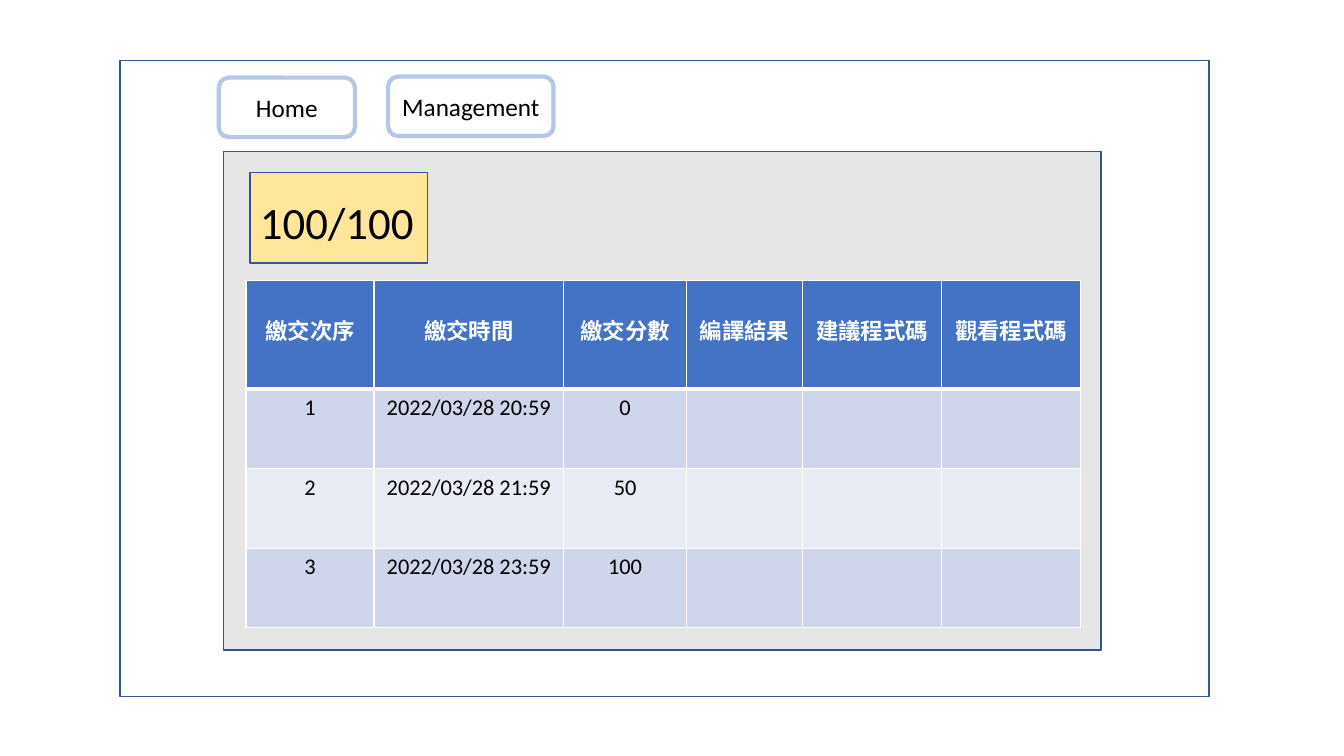
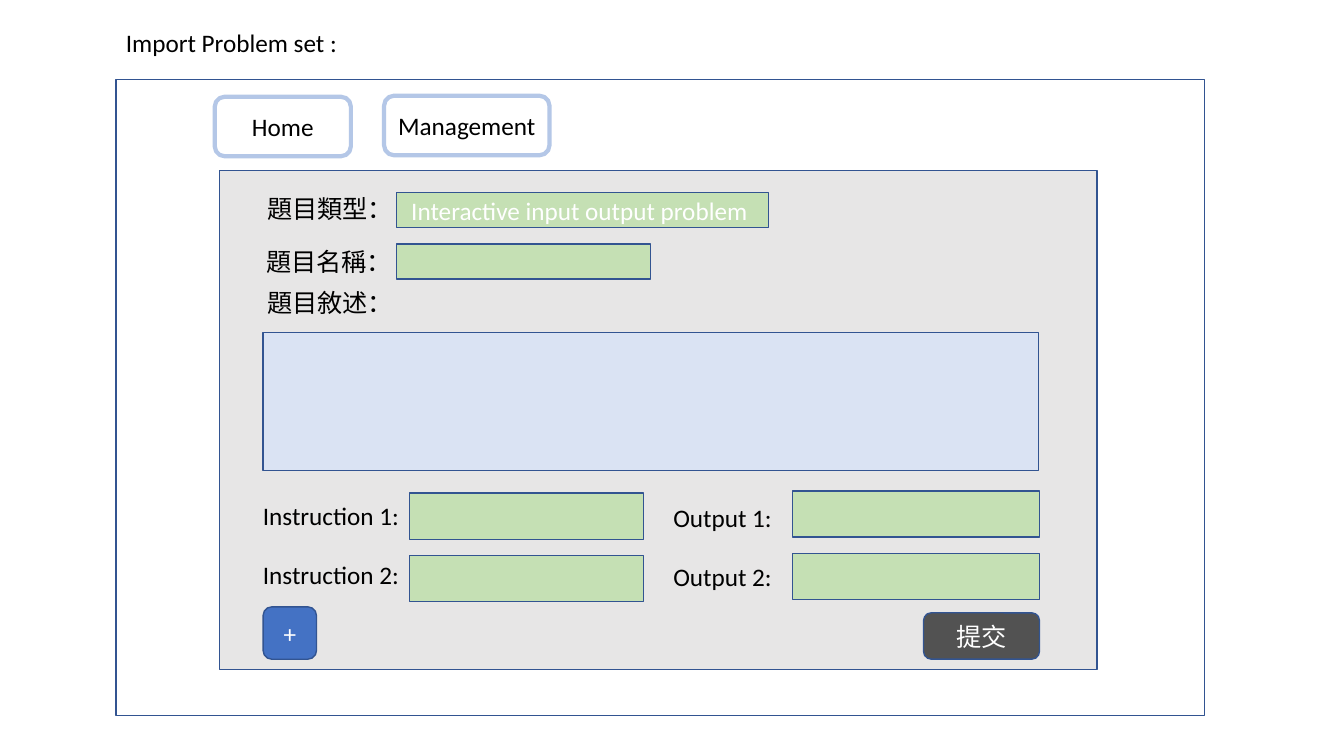
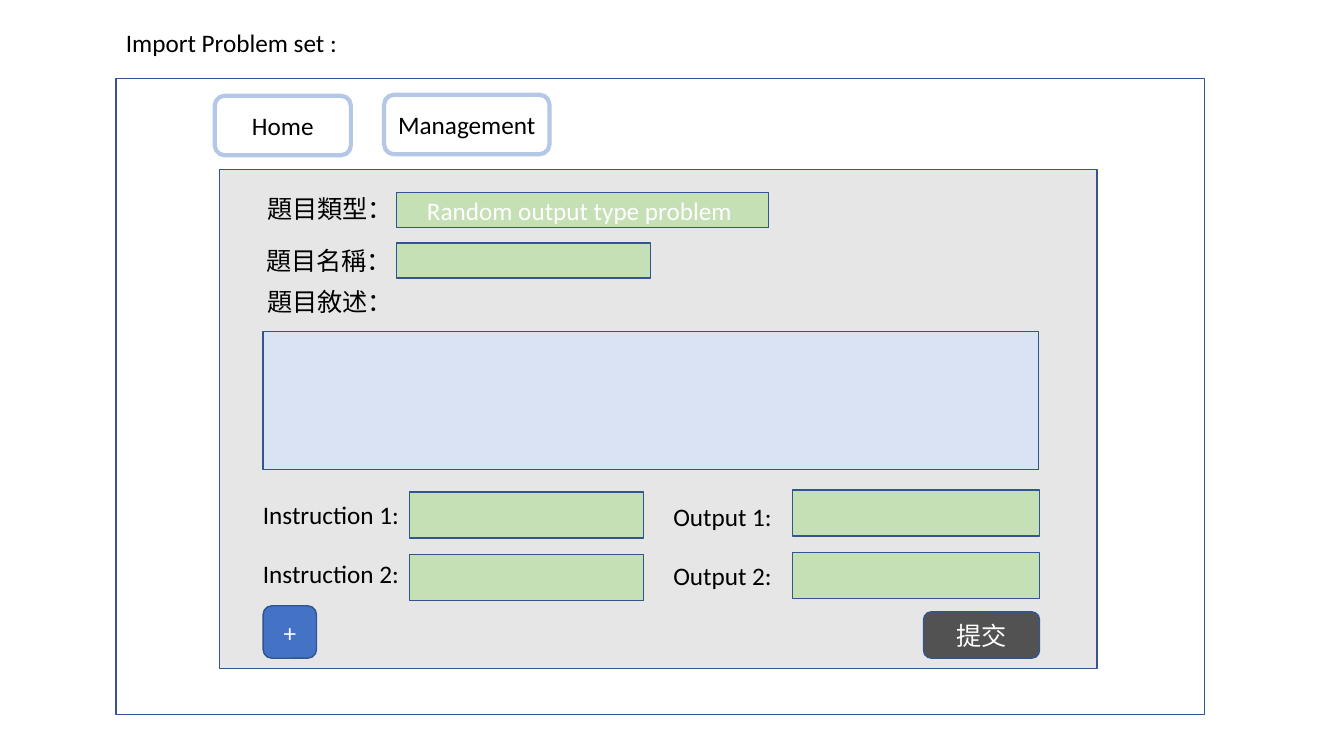
from lxml.etree import SubElement
from pptx import Presentation
from pptx.dml.color import RGBColor
from pptx.enum.shapes import MSO_SHAPE as Shape
from pptx.enum.text import MSO_ANCHOR as Anchor, PP_ALIGN as Align
from pptx.oxml.ns import qn
from pptx.util import Inches, Pt

FONT = "Calibri"
BLACK, WHITE = "000000", "FFFFFF"
OUTLINE, TAB_LINE = "325491", "B4C7E7"
PANEL, FIELD, AREA = "E7E6E6", "C5E0B4", "DAE3F3"
ACCENT, DARK, SCORE = "4472C4", "525252", "FFE699"
BANDS = ["CFD5EA", "E9EBF5"]


def rgb(value):
    """Turn a hex string into a colour."""
    return RGBColor.from_string(value)


class Mockup:
    """Draws web page mockups in one shared style."""

    def __init__(self):
        """Start a widescreen deck."""
        self.deck = Presentation()
        self.deck.slide_width = Inches(13.33)
        self.deck.slide_height = Inches(7.5)
        self.page = None

    def style(self, frame, text, size=18, color=BLACK, align=Align.LEFT, bold=False):
        """Write text into a frame and format it."""
        frame.text = text
        frame.word_wrap = True
        for para in frame.paragraphs:
            para.alignment = align
            for span in para.runs:
                span.font.name = FONT
                span.font.size = Pt(size)
                span.font.bold = bold
                span.font.color.rgb = rgb(color)

    def box(self, left, top, width, height, fill=None, text="", color=WHITE,
            line=OUTLINE, weight=1, kind=Shape.RECTANGLE):
        """Draw an outlined shape with optional centred text."""
        box = self.page.shapes.add_shape(
            kind, Inches(left), Inches(top), Inches(width), Inches(height))
        box.shadow.inherit = False
        if fill:
            box.fill.solid()
            box.fill.fore_color.rgb = rgb(fill)
        else:
            box.fill.background()
        box.line.color.rgb = rgb(line)
        box.line.width = Pt(weight)
        if text:
            self.style(box.text_frame, text, color=color, align=Align.CENTER)
            box.text_frame.vertical_anchor = Anchor.MIDDLE

    def button(self, left, top, width, height, fill, text, **look):
        """Draw a rounded button."""
        self.box(left, top, width, height, fill, text,
                 kind=Shape.ROUNDED_RECTANGLE, **look)

    def label(self, left, top, width, text, size=18, height=0.4):
        """Place a plain left-aligned text."""
        label = self.page.shapes.add_textbox(
            Inches(left), Inches(top), Inches(width), Inches(height))
        self.style(label.text_frame, text, size)

    def window(self, left, top):
        """Add a page with the browser frame, menu buttons and panel."""
        self.page = self.deck.slides.add_slide(self.deck.slide_layouts[6])
        self.box(left, top, 10.8, 6.31, WHITE)
        self.box(left + 1.03, top + 0.9, 8.7, 4.95, PANEL)
        tab = {"color": BLACK, "line": TAB_LINE, "weight": 3}
        self.button(left + 0.98, top + 0.17, 1.35, 0.59, None, "Home", **tab)
        self.button(left + 2.66, top + 0.16, 1.64, 0.59, None, "Management", **tab)

    def border(self, cell, **weights):
        """Give a cell white borders, 1 pt unless a side says otherwise."""
        properties = cell._tc.get_or_add_tcPr()
        for side in "LRTB":
            line = SubElement(properties, qn("a:ln" + side),
                              w=str(Pt(weights.get(side, 1))))
            fill = SubElement(line, qn("a:solidFill"))
            SubElement(fill, qn("a:srgbClr"), val=WHITE)

    def table(self, left, top, widths, heights, rows):
        """Draw a banded table whose first row is the header."""
        table = self.page.shapes.add_table(
            len(rows), len(widths), Inches(left), Inches(top),
            Inches(sum(widths)), Inches(sum(heights))).table
        table.first_row = table.horz_banding = False
        for column, width in zip(table.columns, widths):
            column.width = Inches(width)
        for index, values in enumerate(rows):
            table.rows[index].height = Inches(heights[index])
            header = index == 0
            for cell, value in zip(table.rows[index].cells, values):
                self.border(cell, B=3 if header else 1, T=3 if index == 1 else 1)
                cell.fill.solid()
                cell.fill.fore_color.rgb = rgb(ACCENT if header else BANDS[(index - 1) % 2])
                self.style(cell.text_frame, value, 16, WHITE if header else BLACK,
                           Align.CENTER, header)
                if header:
                    cell.vertical_anchor = Anchor.MIDDLE
                    cell.margin_bottom = Inches(0.15)

    def problem_form(self, top, problem_type):
        """Add a page with the form that imports one type of problem."""
        self.window(1.15, top)
        self.label(1.15, 0.22, 6.01, "Import Problem set :")
        self.label(2.55, 1.87, 4.61, "題目類型：")
        self.box(3.93, 1.91, 3.69, 0.35, FIELD, problem_type)
        self.label(2.54, top + 1.6, 4.61, "題目名稱：")
        self.box(3.93, top + 1.63, 2.52, 0.35, FIELD)
        self.label(2.55, top + 2.01, 4.61, "題目敘述：")
        self.box(2.61, top + 2.51, 7.69, 1.37, AREA)
        for index in range(2):
            text_top = top + 4.12 + 0.59 * index
            field_top = top + 4.08 + 0.62 * index
            self.label(2.51, text_top, 1.74, f"Instruction {index + 1}:")
            self.box(4.06, field_top + 0.02, 2.32, 0.46, FIELD)
            self.label(6.58, text_top + 0.02, 1.26, f"Output {index + 1}:")
            self.box(7.86, field_top, 2.45, 0.46, FIELD)
        self.button(2.61, top + 5.23, 0.53, 0.52, ACCENT, "+")
        self.button(9.16, top + 5.29, 1.15, 0.46, DARK, "提交")


mockup = Mockup()

mockup.window(1.19, 0.6)
mockup.box(2.48, 1.71, 1.76, 0.9, SCORE)
mockup.label(2.48, 1.88, 2.18, "100/100", size=32, height=0.64)
mockup.table(
    2.44, 2.78, [1.27, 1.88, 1.22, 1.15, 1.38, 1.38], [1.08] + [0.79] * 3,
    [["繳交次序", "繳交時間", "繳交分數", "編譯結果", "建議程式碼", "觀看程式碼"],
     ["1", "2022/03/28 20:59", "0", "", "", ""],
     ["2", "2022/03/28 21:59", "50", "", "", ""],
     ["3", "2022/03/28 23:59", "100", "", "", ""]])

mockup.problem_form(0.79, "Interactive input output problem ")
mockup.problem_form(0.78, "Random output type problem ")

mockup.deck.save("out.pptx")
